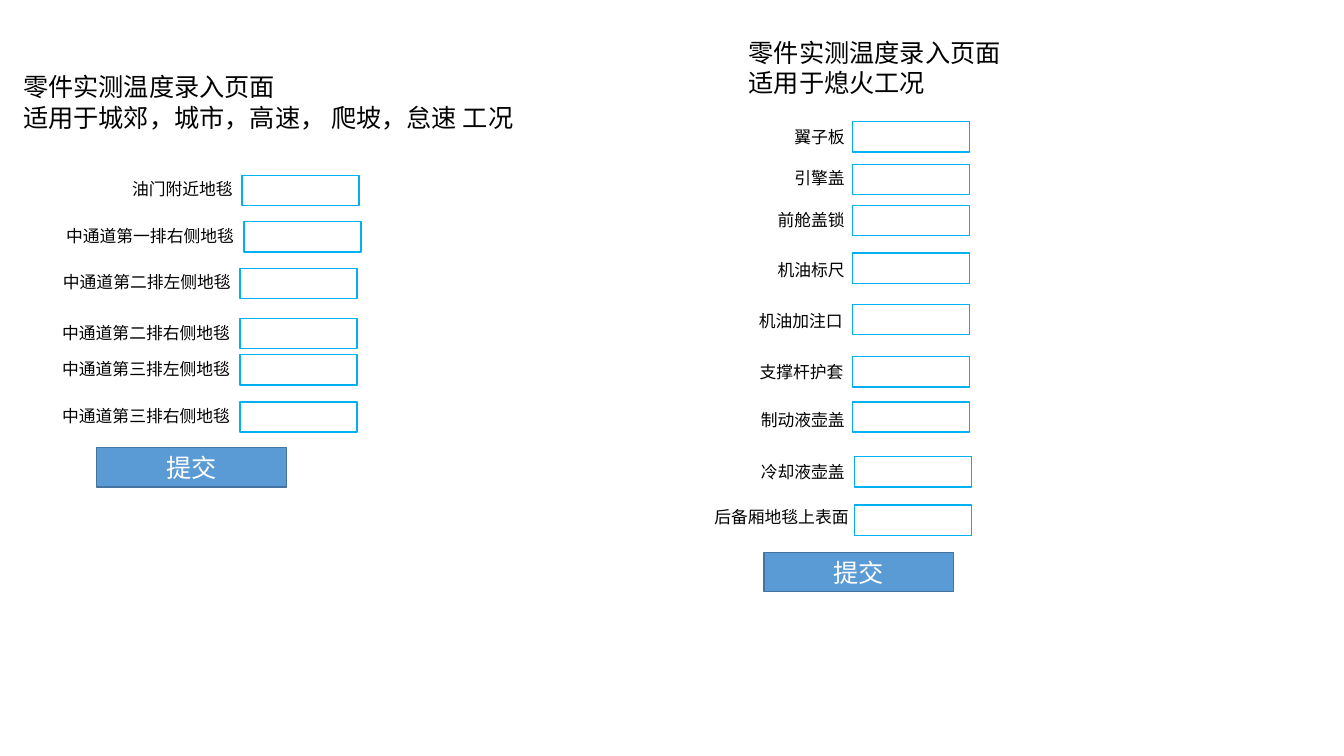
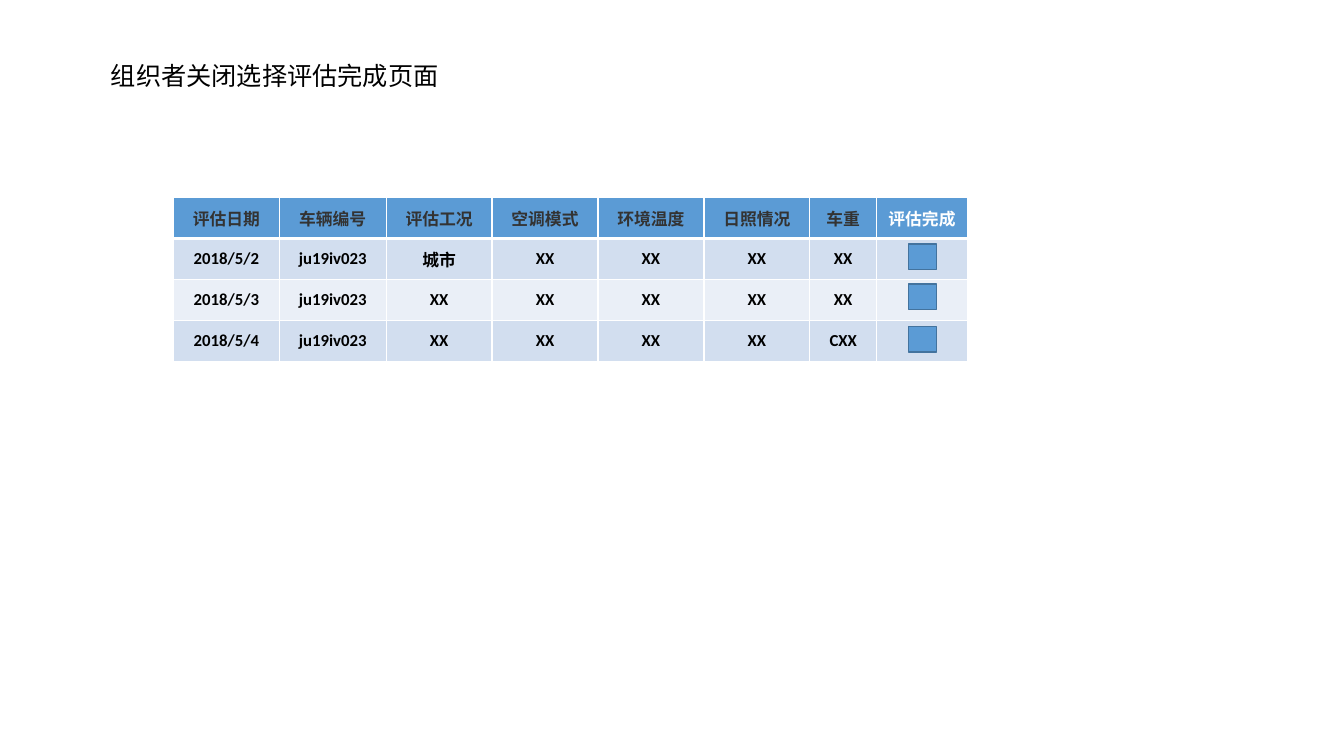
from lxml import etree
from pptx import Presentation
from pptx.dml.color import RGBColor
from pptx.enum.shapes import MSO_SHAPE
from pptx.enum.text import MSO_ANCHOR, MSO_AUTO_SIZE, PP_ALIGN
from pptx.oxml.ns import qn
from pptx.util import Cm, Pt

RECT = MSO_SHAPE.RECTANGLE
TOP, MIDDLE = MSO_ANCHOR.TOP, MSO_ANCHOR.MIDDLE
LEFT, CENTER, RIGHT = PP_ALIGN.LEFT, PP_ALIGN.CENTER, PP_ALIGN.RIGHT
NO_FIT = MSO_AUTO_SIZE.NONE

COLORS = {
    "text": "000000",
    "heading": "333333",
    "white": "FFFFFF",
    "accent": "5B9BD5",
    "accent_line": "43739E",
    "input_line": "00B0F0",
    "band_dark": "D2DEEF",
    "band_light": "EAEFF7",
}
FONT, HEADER_FONT = "Calibri", "Roboto"
TITLE_SIZE, BODY_SIZE = 18, 12

CARPET_FIELDS = [
    ("油门附近地毯", 6.12, 4.39, 6.1, 4.42),
    ("中通道第一排右侧地毯", 6.15, 5.56, 6.15, 5.59),
    ("中通道第二排左侧地毯", 6.07, 6.73, 6.05, 6.76),
    ("中通道第二排右侧地毯", 6.05, 8, 6.05, 8.03),
    ("中通道第三排左侧地毯", 6.05, 8.92, 6.05, 8.94),
    ("中通道第三排右侧地毯", 6.05, 10.11, 6.05, 10.13),
]
ENGINE_FIELDS = [
    ("翼子板", 21.54, 3.07, 21.49, 3.07),
    ("引擎盖", 21.54, 4.11, 21.49, 4.14),
    ("前舱盖锁", 21.54, 5.16, 21.49, 5.18),
    ("机油标尺", 21.54, 6.43, 21.49, 6.38),
    ("机油加注口", 21.49, 7.7, 21.49, 7.67),
    ("支撑杆护套", 21.51, 8.99, 21.49, 8.99),
    ("制动液壶盖", 21.54, 10.19, 21.49, 10.13),
    ("冷却液壶盖", 21.54, 11.51, 21.54, 11.51),
    ("后备厢地毯上表面", 21.64, 12.65, 21.54, 12.73),
]
RECORDS = [
    ["评估日期", "车辆编号", "评估工况", "空调模式", "环境温度", "日照情况", "车重", "评估完成"],
    ["2018/5/2", "ju19iv023", "城市", "XX", "XX", "XX", "XX", ""],
    ["2018/5/3", "ju19iv023", "XX", "XX", "XX", "XX", "XX", ""],
    ["2018/5/4", "ju19iv023", "XX", "XX", "XX", "XX", "CXX", ""],
]
COL_WIDTHS = [2.67, 2.69, 2.67, 2.67, 2.67, 2.67, 1.68, 2.29]
ROW_HEIGHT = 1.03


def rgb(name):
    return RGBColor.from_string(COLORS[name])


class Deck:
    """Holds the shared style and the current slide."""

    def __init__(self):
        self.prs = Presentation()
        self.prs.slide_width, self.prs.slide_height = Cm(33.87), Cm(19.05)
        self.s = None

    def new_slide(self):
        self.s = self.prs.slides.add_slide(self.prs.slide_layouts[5])

    def add_lines(self, tf, lines, size, color="text", align=LEFT, font=FONT, bold=False):
        for i, line in enumerate(lines):
            p = tf.add_paragraph() if i else tf.paragraphs[0]
            p.alignment = align
            r = p.add_run()
            r.text = line
            r.font.name, r.font.size, r.font.bold = font, Pt(size), bold
            r.font.color.rgb = rgb(color)

    def fill_frame(self, sp, lines, size, align=LEFT):
        tf = sp.text_frame
        tf.word_wrap, tf.auto_size, tf.vertical_anchor = True, NO_FIT, TOP
        self.add_lines(tf, lines, size, align=align)

    def title(self, x, y, w, h, *lines):
        sp = self.s.shapes.title
        sp.left, sp.top, sp.width, sp.height = Cm(x), Cm(y), Cm(w), Cm(h)
        self.fill_frame(sp, lines, TITLE_SIZE)

    def text(self, x, y, w, h, *lines, size=BODY_SIZE, align=LEFT):
        sp = self.s.shapes.add_textbox(Cm(x), Cm(y), Cm(w), Cm(h))
        self.fill_frame(sp, lines, size, align)

    def box(self, x, y, w, h, line, fill=None):
        sp = self.s.shapes.add_shape(RECT, Cm(x), Cm(y), Cm(w), Cm(h))
        sp.shadow.inherit = False
        if fill:
            sp.fill.solid()
            sp.fill.fore_color.rgb = rgb(fill)
        else:
            sp.fill.background()
        sp.line.color.rgb = rgb(line)
        sp.line.width = Pt(1)
        return sp

    def field(self, label, label_right, label_top, left, top):
        width = 0.43 * len(label) + 0.6
        self.text(label_right - width, label_top, width, 0.76, label, align=RIGHT)
        self.box(left, top, 2.95, 0.76, "input_line")

    def button(self, x, y, label):
        tf = self.box(x, y, 4.78, 0.99, "accent_line", "accent").text_frame
        tf.vertical_anchor = MIDDLE
        self.add_lines(tf, [label], TITLE_SIZE, "white", CENTER)

    def checkbox(self, x, y):
        self.box(x, y, 0.71, 0.64, "accent_line", "accent")

    def border(self, cell, side, width):
        ln = etree.SubElement(cell._tc.get_or_add_tcPr(), qn("a:" + side), w=str(Pt(width)))
        fill = etree.SubElement(ln, qn("a:solidFill"))
        etree.SubElement(fill, qn("a:srgbClr"), val=COLORS["white"])

    def cell(self, cell, text, row, last):
        for side in ("lnL", "lnR", "lnT", "lnB"):
            under_header = (row, side) in ((0, "lnB"), (1, "lnT"))
            self.border(cell, side, 3 if under_header else 1)
        cell.fill.solid()
        band = "band_dark" if row % 2 else "band_light"
        cell.fill.fore_color.rgb = rgb(band if row else "accent")
        cell.vertical_anchor = MIDDLE
        cell.margin_top = cell.margin_bottom = 0
        if text:
            color, font = "text", FONT
            if row == 0:
                color, font = ("white", FONT) if last else ("heading", HEADER_FONT)
            self.add_lines(cell.text_frame, [text], BODY_SIZE, color, CENTER, font, True)

    def table(self, x, y, rows, widths, row_height):
        size = Cm(sum(widths)), Cm(row_height * len(rows))
        tbl = self.s.shapes.add_table(len(rows), len(widths), Cm(x), Cm(y), *size).table
        for col, width in zip(tbl.columns, widths):
            col.width = Cm(width)
        for i, row in enumerate(rows):
            tbl.rows[i].height = Cm(row_height)
            for j, text in enumerate(row):
                self.cell(tbl.cell(i, j), text, i, j == len(row) - 1)


def main():
    deck = Deck()

    deck.new_slide()
    deck.title(0.33, 1.68, 13.28, 1.8, "零件实测温度录入页面", "适用于城郊，城市，高速， 爬坡，怠速 工况")
    deck.text(18.62, 0.81, 7.09, 1.8, "零件实测温度录入页面", "适用于熄火工况", size=TITLE_SIZE)
    for field in CARPET_FIELDS + ENGINE_FIELDS:
        deck.field(*field)
    for x, y in ((2.44, 11.28), (19.25, 13.92)):
        deck.button(x, y, "提交")

    deck.new_slide()
    deck.title(2.54, 1.4, 8.9, 1.02, "组织者关闭选择评估完成页面")
    deck.table(4.37, 4.98, RECORDS, COL_WIDTHS, ROW_HEIGHT)
    for y in (6.15, 7.16, 8.23):
        deck.checkbox(22.89, y)

    deck.prs.save("out.pptx")


if __name__ == "__main__":
    main()
